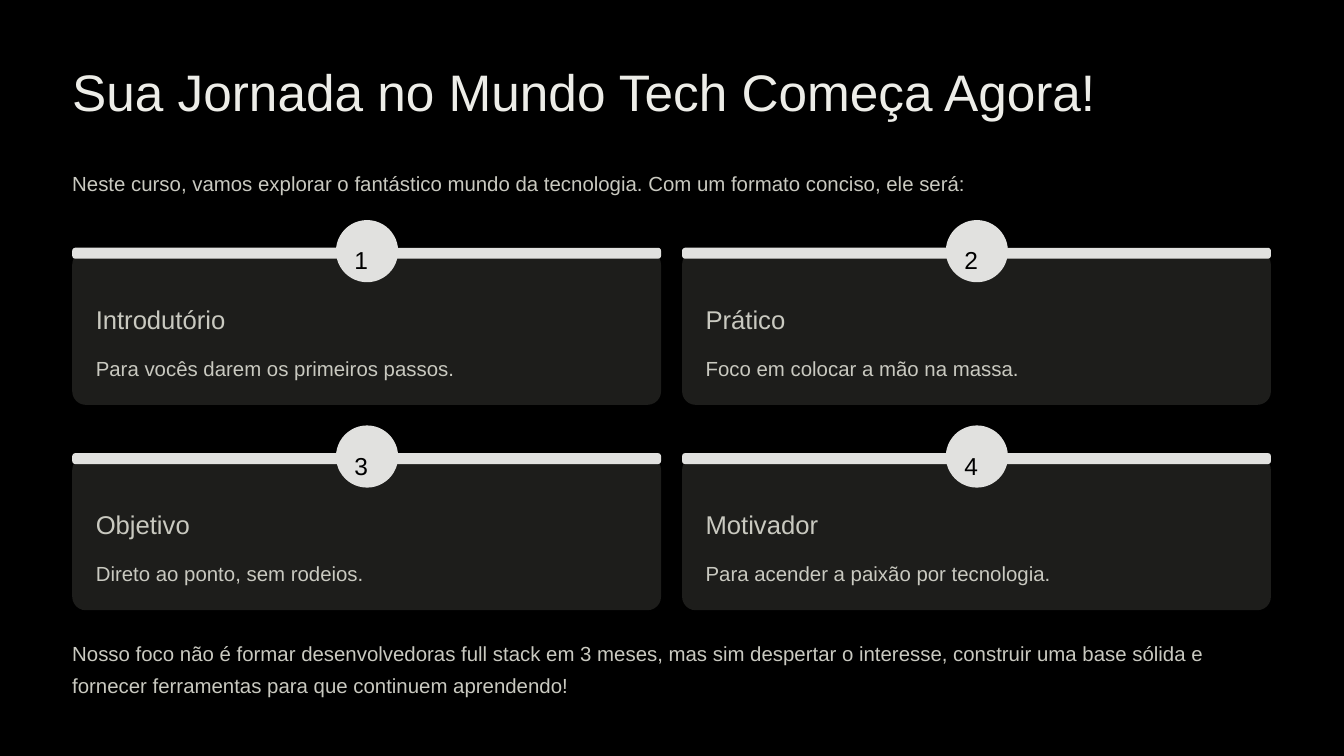
"""Build the slide that opens the tech course with four numbered cards."""
from pptx import Presentation
from pptx.dml.color import RGBColor
from pptx.enum.shapes import MSO_SHAPE
from pptx.enum.text import MSO_ANCHOR, MSO_AUTO_SIZE, PP_ALIGN
from pptx.util import Inches, Pt

BACKGROUND = "000000"
TITLE_COLOR = "EDEDE8"
TEXT_COLOR = "C9C9C0"
CARD_COLOR = "1D1D1B"
ACCENT_COLOR = "E1E1DF"


def paint(fill, color):
    fill.solid()
    fill.fore_color.rgb = RGBColor.from_string(color)


def write(text, left, top, width, height, size=17.5, spacing=28, color=TEXT_COLOR, shape=None):
    position = [Inches(value) for value in (left, top, width, height)]
    if shape is None:
        shape = slide.shapes.add_textbox(*position)
    shape.left, shape.top, shape.width, shape.height = position
    frame = shape.text_frame
    frame.margin_left = frame.margin_top = frame.margin_right = frame.margin_bottom = 0
    frame.word_wrap = True
    frame.auto_size = MSO_AUTO_SIZE.NONE
    frame.vertical_anchor = MSO_ANCHOR.TOP
    paragraph = frame.paragraphs[0]
    paragraph.alignment = PP_ALIGN.LEFT
    paragraph.line_spacing = Pt(spacing)
    run = paragraph.add_run()
    run.text = text
    run.font.name = "Arial"
    run.font.size = Pt(size)
    run.font.color.rgb = RGBColor.from_string(color)


presentation = Presentation()
presentation.slide_width = Inches(16)
presentation.slide_height = Inches(9)
slide = presentation.slides.add_slide(presentation.slide_layouts[5])
paint(slide.background.fill, BACKGROUND)

write("Sua Jornada no Mundo Tech Começa Agora!", 0.86, 0.68, 13.73, 0.77,
      size=44, spacing=55.5, color=TITLE_COLOR, shape=slide.shapes.title)
write("Neste curso, vamos explorar o fantástico mundo da tecnologia. "
      "Com um formato conciso, ele será:", 0.86, 1.94, 14.27, 0.39)

cards = [
    ("Introdutório", "Para vocês darem os primeiros passos."),
    ("Prático", "Foco em colocar a mão na massa."),
    ("Objetivo", "Direto ao ponto, sem rodeios."),
    ("Motivador", "Para acender a paixão por tecnologia."),
]
for index, (heading, description) in enumerate(cards):
    row, column = divmod(index, 2)
    left = 0.86 + 7.26 * column
    top = 2.95 + 2.445 * row
    card_parts = [
        (MSO_SHAPE.ROUNDED_RECTANGLE, 0, 0.04, 7.01, 1.83, 0.088, CARD_COLOR),
        (MSO_SHAPE.ROUNDED_RECTANGLE, 0, 0, 7.01, 0.13, 0.278, ACCENT_COLOR),
        (MSO_SHAPE.OVAL, 3.14, -0.33, 0.74, 0.74, None, ACCENT_COLOR),
    ]
    for kind, across, down, width, height, rounding, color in card_parts:
        shape = slide.shapes.add_shape(kind, Inches(left + across), Inches(top + down),
                                       Inches(width), Inches(height))
        if rounding is not None:
            shape.adjustments[0] = rounding
        paint(shape.fill, color)
        shape.line.fill.background()
        shape.shadow.inherit = False
    write(str(index + 1), left + 3.36, top - 0.15, 0.3, 0.37,
          size=21, spacing=34, color=BACKGROUND)
    write(heading, left + 0.28, top + 0.65, 3.09, 0.39, size=22, spacing=27.5)
    write(description, left + 0.28, top + 1.19, 6.45, 0.39)

write("Nosso foco não é formar desenvolvedoras full stack em 3 meses, mas sim despertar "
      "o interesse, construir uma base sólida e fornecer ferramentas para que continuem "
      "aprendendo!", 0.86, 7.53, 14.27, 0.79)

presentation.save("out.pptx")
